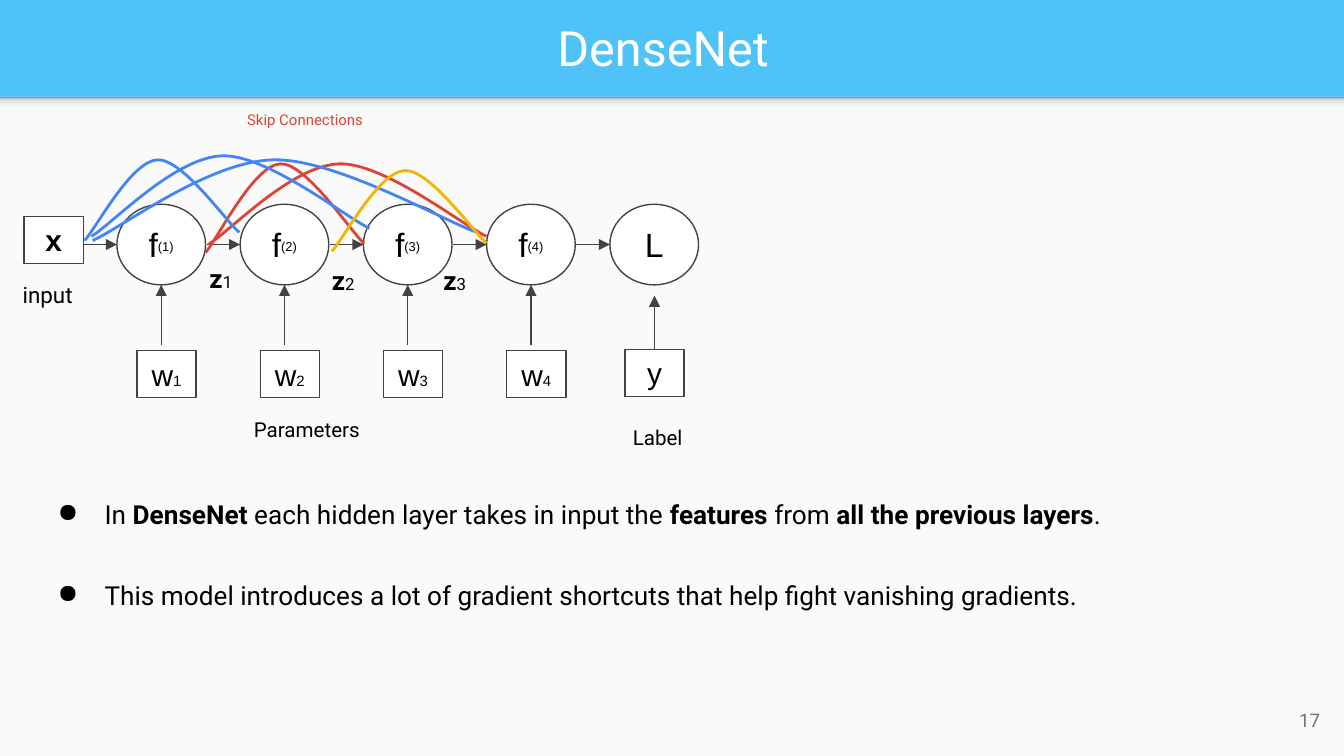
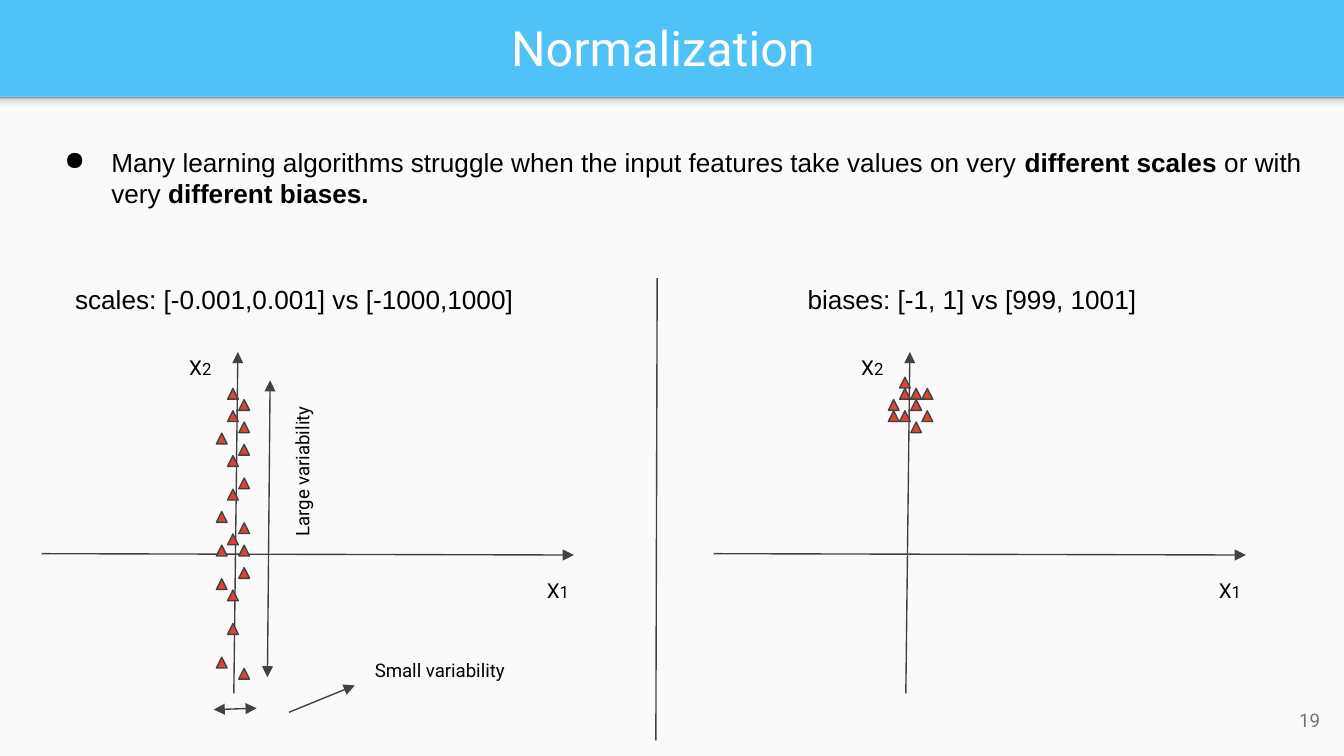
"""Builds two lecture slides on DenseNet and on normalization."""
from typing import NamedTuple

from lxml import etree
from pptx import Presentation
from pptx import util as u
from pptx.dml.color import RGBColor
from pptx.enum import shapes as es, text as et
from pptx.oxml import parse_xml
from pptx.oxml.ns import nsdecls, qn

WIDE, HIGH = 10, 5.625
COLS = 100
HUE = {"band": "4FC3F7", "page": "FAFAFA", "white": "FFFFFF", "ink": "000000",
       "line": "424242", "grey": "737373", "red": "DB4437", "blue": "4285F4",
       "gold": "F4B400"}
SHADE = ((0, "F9F9F9"), (36, "F9F9F9"), (80, "DEDEDE"), (100, "999999"))
FORM = es.MSO_SHAPE
MID, TOP = et.MSO_ANCHOR.MIDDLE, et.MSO_ANCHOR.TOP
ALIGN = et.PP_ALIGN
PITCH = 9.17
STEP = 5 / 6
BEND = ((0, 1), (.08, .83), (.3, .02), (.47, 0), (.63, -.02), (.91, .75), (1, .9))


class Run(NamedTuple):
    """A piece of text that differs from its paragraph."""
    text: str
    size: float | None = None
    bold: bool = False
    base: int = 0


class Box(NamedTuple):
    """A place in grid cells."""
    left: float
    top: float
    wide: float
    high: float


class Label(NamedTuple):
    """A text with its place and format."""
    box: Box
    runs: tuple
    form: dict


class Arc(NamedTuple):
    """A skip connection with its place and colour."""
    box: Box
    hue: str


class Plot(NamedTuple):
    """A pair of axes with its heading and its marks by column."""
    left: float
    head: str
    inset: float
    wide: float
    marks: tuple


ARCS = (Arc(Box(15.5, 12.2, 20.7, 6), "red"), Arc(Box(15.3, 12.2, 11.8, 6.6), "red"),
        Arc(Box(6.9, 11.9, 28.6, 6), "blue"), Arc(Box(6.3, 11.9, 11.5, 6), "blue"),
        Arc(Box(6.8, 11.6, 20.7, 6), "blue"), Arc(Box(24.7, 12.7, 11.5, 6), "gold"))

NOTES = (
    Label(Box(.7, 19.9, 7.8, 4), ("input",), {"size": 12}),
    Label(Box(46.1, 30.7, 9.2, 3.9), ("Label",), {"size": 11}),
    Label(Box(17.9, 30.1, 10.8, 3.9), ("Parameters",), {"size": 11}),
    Label(Box(17.4, 7.6, 13.3, 3.4), ("Skip Connections",), {"size": 8, "hue": "red"}),
    Label(Box(1.8, 36.1, 95.1, 4.4),
          ("In ", Run("DenseNet", bold=True), " each hidden layer takes in input the",
           Run(" features ", bold=True), "from ",
           Run("all the previous layers", bold=True), "."), {"bullet": True}),
    Label(Box(1.8, 42.1, 95.1, 4.4),
          ("This model introduces a lot of gradient shortcuts that help fight "
           "vanishing gradients.",), {"bullet": True}),
)

PLOTS = (
    Plot(0, "scales: [-0.001,0.001] vs [-1000,1000]", 4.6, 53.8,
         ((4, 11, 14, 17, 24), (0, 2, 6, 9, 13, 18, 21), (1, 3, 5, 8, 12, 14, 16, 25))),
    Plot(50, "biases: [-1, 1] vs [999, 1001]", 9.1, 32.8,
         ((1, 2), (-1, 0, 2), (0, 1, 3), (0, 2))),
)


def cell(count: float) -> int:
    """Turns grid cells into a length."""
    return u.Inches(count * WIDE / COLS)


def tint(name: str) -> RGBColor:
    """Looks up a colour."""
    return RGBColor.from_string(HUE[name])


def write(frame, *runs, size=14, font="Roboto", hue="ink", align=ALIGN.LEFT,
          anchor=TOP, wrap=True, bullet=False) -> None:
    """Fills a text frame with one formatted paragraph."""
    frame.word_wrap = wrap
    frame.vertical_anchor = anchor
    frame.margin_left = frame.margin_right = cell(1)
    frame.margin_top = frame.margin_bottom = cell(1)
    para = frame.paragraphs[0]
    para.alignment = align
    if bullet:
        props = para._p.get_or_add_pPr()
        props.set("marL", str(cell(5)))
        props.set("indent", str(cell(-3.5)))
        ink = etree.SubElement(props, qn("a:buClr"))
        etree.SubElement(ink, qn("a:srgbClr")).set("val", HUE["ink"])
        etree.SubElement(props, qn("a:buChar")).set("char", "●")
    for item in runs:
        part = item if isinstance(item, Run) else Run(item)
        run = para.add_run()
        run.text = part.text
        run.font.name = font
        run.font.size = u.Pt(part.size or size)
        run.font.bold = part.bold
        run.font.color.rgb = tint(hue)
        if part.base:
            run.font._element.set("baseline", str(part.base * 1000))


def label(slide, box: Box, *runs, turn: float = 0, **form) -> None:
    """Adds a text box."""
    area = slide.shapes.add_textbox(*map(cell, box))
    area.rotation = turn
    write(area.text_frame, *runs, **form)


def block(slide, form, box: Box, fill: str, line: str | None = "line"):
    """Adds a preset shape."""
    item = slide.shapes.add_shape(form, *map(cell, box))
    item.shadow.inherit = False
    item.fill.solid()
    item.fill.fore_color.rgb = tint(fill)
    if line:
        item.line.color.rgb = tint(line)
        item.line.width = u.Pt(.75)
    else:
        item.line.fill.background()
    return item


def node(slide, form, box: Box, *runs, size: float = 16):
    """Adds a white shape of the network with its symbol."""
    item = block(slide, form, box, "white")
    write(item.text_frame, *runs, size=size, font="Arial", align=ALIGN.CENTER,
          anchor=MID, wrap=False)
    return item


def link(slide, start: tuple, stop: tuple, ends: tuple = ("tailEnd",)):
    """Adds a straight line with arrowheads at the named ends."""
    item = slide.shapes.add_connector(es.MSO_CONNECTOR.STRAIGHT,
                                      *map(cell, start + stop))
    item.line.color.rgb = tint("line")
    item.line.width = u.Pt(.75)
    line = item.line._get_or_add_ln()
    for end in ends:
        etree.SubElement(line, qn(f"a:{end}")).set("type", "triangle")
    etree.SubElement(item._element.spPr, qn("a:effectLst"))
    return item


def curve(slide, arc: Arc) -> None:
    """Adds a skip connection as two joined Bézier curves."""
    box = arc.box
    dots = [(cell(box.left + x * box.wide), cell(box.top + y * box.high))
            for x, y in BEND]
    pen = slide.shapes.build_freeform(*dots[0])
    pen.add_line_segments(dots[1:], close=False)
    item = pen.convert_to_shape()
    item.shadow.inherit = False
    item.fill.background()
    item.line.color.rgb = tint(arc.hue)
    item.line.width = u.Pt(1.5)
    legs = item._element.xpath(".//a:lnTo")
    track = legs[0].getparent()
    for first in range(0, len(legs), 3):
        bend = etree.SubElement(track, qn("a:cubicBezTo"))
        for leg in legs[first:first + 3]:
            bend.append(leg[0])
            track.remove(leg)


def start(deck, title: str, page: int):
    """Adds a slide with its page area, band shade, title and number."""
    slide = deck.slides.add_slide(deck.slide_layouts[6])
    rows = COLS * HIGH / WIDE
    block(slide, FORM.RECTANGLE, Box(0, 7.2, COLS, rows - 7.2), "page", None)
    shade = block(slide, FORM.RECTANGLE, Box(0, 7.2, COLS, 1.2), "page", None)
    stops = "".join(f'<a:gs pos="{pos * 1000}"><a:srgbClr val="{hue}"/></a:gs>'
                    for pos, hue in SHADE)
    props = shade._element.spPr
    props.replace(props.find(qn("a:solidFill")), parse_xml(
        f'<a:gradFill {nsdecls("a")}><a:gsLst>{stops}</a:gsLst>'
        '<a:lin ang="16200000" scaled="0"/></a:gradFill>'))
    label(slide, Box(1.1, .2, 96.5, 6.6), title, size=26, hue="white",
          align=ALIGN.CENTER, anchor=MID)
    label(slide, Box(93.2, 51.4, 6, 4.3), str(page), size=10, hue="grey",
          align=ALIGN.RIGHT, anchor=MID)
    return slide


def dense(deck) -> None:
    """Draws the network with its skip connections."""
    slide = start(deck, "DenseNet", 17)
    node(slide, FORM.RECTANGLE, Box(1.8, 16.1, 4.4, 3.5), Run("x", bold=True))
    for col in range(5):
        left = col * PITCH
        last = col == 4
        link(slide, (left + 6.2, 18.2), (left + 8.7, 18.2))
        sign = ("L",) if last else ("f", Run(f"({col + 1})", 12, base=30))
        node(slide, FORM.OVAL, Box(left + 8.7, 15.2, 6.6, 6), *sign, size=18)
        if not last:
            link(slide, (left + 12, 25.7), (left + 12, 21.2))
            node(slide, FORM.RECTANGLE, Box(left + 10.2, 26.1, 4.4, 3.5),
                 "w", Run(str(col + 1), 8))
    goal = node(slide, FORM.RECTANGLE, Box(46.5, 26, 4.4, 3.5), "y")
    link(slide, (48.7, 26), (48.7, 22)).begin_connect(goal, 0)
    for num, (left, top) in enumerate(((14.6, 18.5), (23.7, 18.7), (32, 18.7)), 1):
        label(slide, Box(left, top, 3.9, 4.4), Run("z", bold=True), Run(str(num), 9))
    for note in NOTES:
        label(slide, note.box, *note.runs, **note.form)
    for arc in ARCS:
        curve(slide, arc)


def graph(slide, plot: Plot) -> None:
    """Draws a heading, two axes and the marks."""
    left = plot.left
    label(slide, Box(left + plot.inset - (0 if left == 0 else 0), 20.1, plot.wide, 4.4),
          plot.head, font="Arial")
    link(slide, (left + 17.4, 51.6), (left + 17.7, 26.2))
    link(slide, (left + 3.1, 41.2), (left + 42.7, 41.3))
    for num, x, y, wide in ((1, 39.7, 42.1, 6), (2, 13.1, 25.5, 4.4)):
        label(slide, Box(left + x, y, wide, 3.9), "X", Run(str(num), 9), size=11)
    for col, rows in enumerate(plot.marks):
        for row in rows:
            block(slide, FORM.ISOSCELES_TRIANGLE,
                  Box(left + 16.1 + col * STEP, 28.9 + row * STEP, .8, .8), "red")


def scale(deck) -> None:
    """Draws the two cases of badly scaled features."""
    slide = start(deck, "Normalization", 19)
    label(slide, Box(2.3, 9.9, 96.1, 6.7),
          "Many learning algorithms struggle when the input features take values on very ",
          Run("different scales", bold=True), " or with very ",
          Run("different biases.", bold=True), font="Arial", bullet=True)
    link(slide, (48.9, 20.7), (48.8, 55.1), ())
    for plot in PLOTS:
        graph(slide, plot)
    both = ("headEnd", "tailEnd")
    link(slide, (15.9, 52.8), (19.1, 52.7), both)
    link(slide, (20.1, 28.3), (19.9, 50.4), both)
    link(slide, (21.5, 53), (26.4, 51))
    label(slide, Box(26.9, 48.2, 12.9, 3.7), "Small variability", size=10)
    label(slide, Box(16.2, 32.6, 12.9, 3.7), "Large variability", size=10, turn=270)


def main() -> None:
    """Builds and saves the deck."""
    deck = Presentation()
    deck.slide_width, deck.slide_height = u.Inches(WIDE), u.Inches(HIGH)
    back = deck.slide_master.background.fill
    back.solid()
    back.fore_color.rgb = tint("band")
    dense(deck)
    scale(deck)
    deck.save("out.pptx")


if __name__ == "__main__":
    main()
